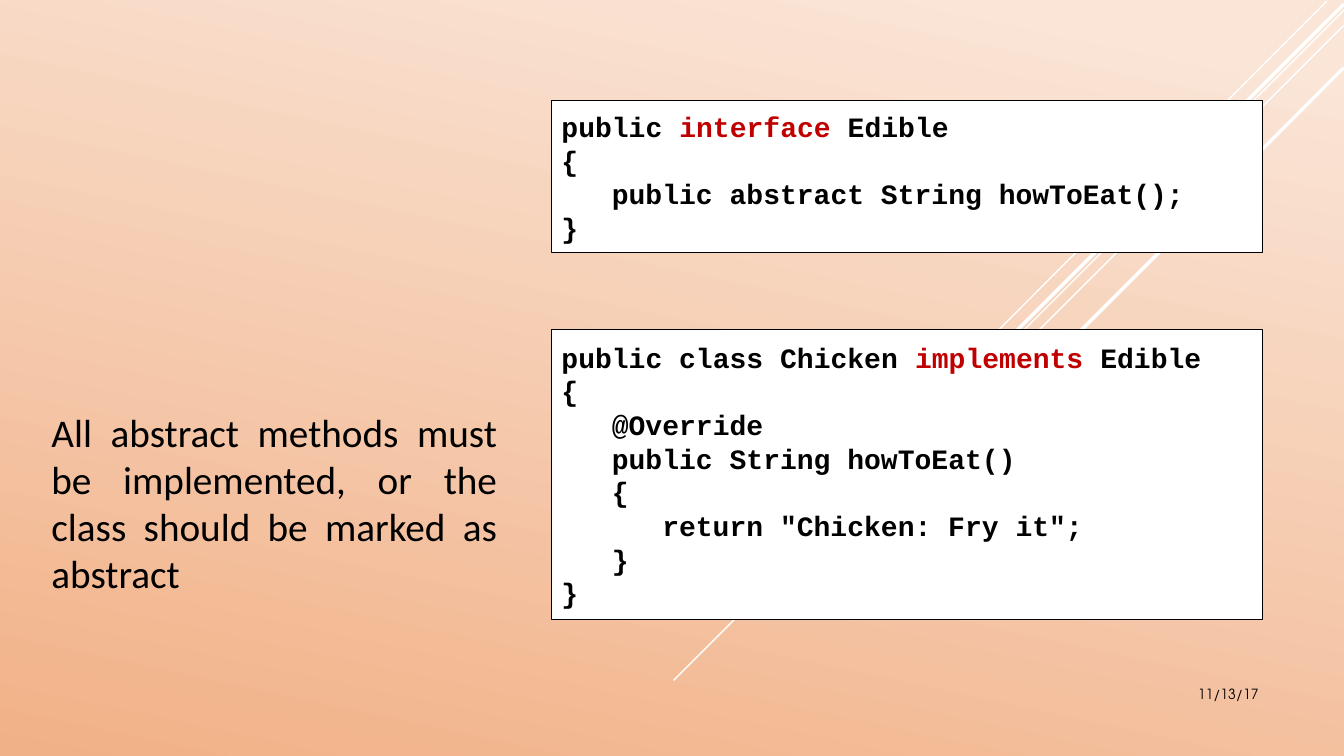
"""Build the slide about implementing an interface."""
import pptx
import pptx.util
import pptx.dml.color
import pptx.enum.shapes
import pptx.enum.text
import lxml.etree

Inches, Pt = pptx.util.Inches, pptx.util.Pt
ALIGN = pptx.enum.text.PP_ALIGN
ANCHOR = pptx.enum.text.MSO_ANCHOR

BLACK, RED, WHITE = "000000", "C00000", "FFFFFF"
BACKGROUND = [(0.07, "FAE5D7"), (1, "F1B187")]
RAYS = [
    ((13.16, 0.01), (9, 4.18), 1),
    ((13.33, 0.1), (6.68, 6.75), 1),
    ((13.33, 0.25), (7.91, 5.67), 1),
    ((13.33, 0.04), (8.02, 5.34), 2.5),
    ((13.33, 0.67), (8.58, 5.42), 2.5),
]
RULE = "All abstract methods must be implemented, or the class should be marked as abstract"
DATE = "11/13/17"
CHICKEN = [
    (0, [("public class Chicken ", BLACK), ("implements ", RED), ("Edible", BLACK)]),
    (0, [("{", BLACK)]),
    (1, [("@Override", BLACK)]),
    (1, [("public String howToEat()", BLACK)]),
    (1, [("{", BLACK)]),
    (2, [("return \"Chicken: Fry it\";", BLACK)]),
    (1, [("}", BLACK)]),
    (0, [("}", BLACK)]),
]
EDIBLE = [
    (0, [("public ", BLACK), ("interface", RED), (" Edible", BLACK)]),
    (0, [("{", BLACK)]),
    (1, [("public abstract String howToEat();", BLACK)]),
    (0, [("}", BLACK)]),
]
LISTINGS = [(3.27, 2.88, CHICKEN), (1, 1.51, EDIBLE)]
INDENT = 0.5


def paint(color, value):
    color.rgb = pptx.dml.color.RGBColor.from_string(value)


def add_run(paragraph, text, font, size, color, bold=False):
    run = paragraph.add_run()
    run.text = text
    run.font.name, run.font.size, run.font.bold = font, Pt(size), bold
    paint(run.font.color, color)


def add_ray(slide, start, end, width):
    ray = slide.shapes.add_connector(
        pptx.enum.shapes.MSO_CONNECTOR.STRAIGHT, *map(Inches, start + end))
    paint(ray.line.color, WHITE)
    ray.line.width = Pt(width)
    lxml.etree.SubElement(
        ray._element.spPr, pptx.oxml.ns.qn("a:effectLst"))


def add_listing(slide, top, height, lines):
    box = slide.shapes.add_shape(
        pptx.enum.shapes.MSO_SHAPE.RECTANGLE,
        Inches(5.47), Inches(top), Inches(7.05), Inches(height))
    box.shadow.inherit = False
    box.fill.solid()
    paint(box.fill.fore_color, WHITE)
    paint(box.line.color, BLACK)
    box.line.width = Pt(0.75)
    frame = box.text_frame
    frame.word_wrap = True
    frame.vertical_anchor = ANCHOR.MIDDLE
    for number, (depth, runs) in enumerate(lines):
        line = frame.add_paragraph() if number else frame.paragraphs[0]
        line.alignment = ALIGN.LEFT
        line.line_spacing = Pt(24)
        line._p.get_or_add_pPr().set("marL", str(Inches(INDENT * depth)))
        for text, color in runs:
            add_run(line, text, "Courier New", 20, color, True)


deck = pptx.Presentation()
deck.slide_width, deck.slide_height = Inches(13.33), Inches(7.5)
slide = deck.slides.add_slide(deck.slide_layouts[0])
title = slide.shapes.title._element
title.getparent().remove(title)

backdrop = slide.background.fill
backdrop.gradient()
backdrop.gradient_angle = 360 - 102
for stop, (position, color) in zip(backdrop.gradient_stops, BACKGROUND):
    stop.position = position
    paint(stop.color, color)

for start, end, width in RAYS:
    add_ray(slide, start, end, width)

date = slide.shapes.add_textbox(Inches(10.83), Inches(6.75), Inches(1.75), Inches(0.4))
date.text_frame.word_wrap = True
date_line = date.text_frame.paragraphs[0]
date_line.alignment = ALIGN.RIGHT
add_run(date_line, DATE, "TeX Gyre Adventor", 10, BLACK)

for top, height, lines in LISTINGS:
    add_listing(slide, top, height, lines)

rule = slide.placeholders[1]
rule.left, rule.top, rule.width, rule.height = map(Inches, (0.41, 4, 4.62, 2.15))
rule.text_frame.word_wrap = True
rule.text_frame.auto_size = pptx.enum.text.MSO_AUTO_SIZE.NONE
rule.text_frame.vertical_anchor = ANCHOR.TOP
rule_line = rule.text_frame.paragraphs[0]
rule_line.alignment = ALIGN.JUSTIFY
rule_line.space_before, rule_line.space_after = Pt(0), Pt(6)
add_run(rule_line, RULE, "Calibri", 28, BLACK)

deck.save("out.pptx")
